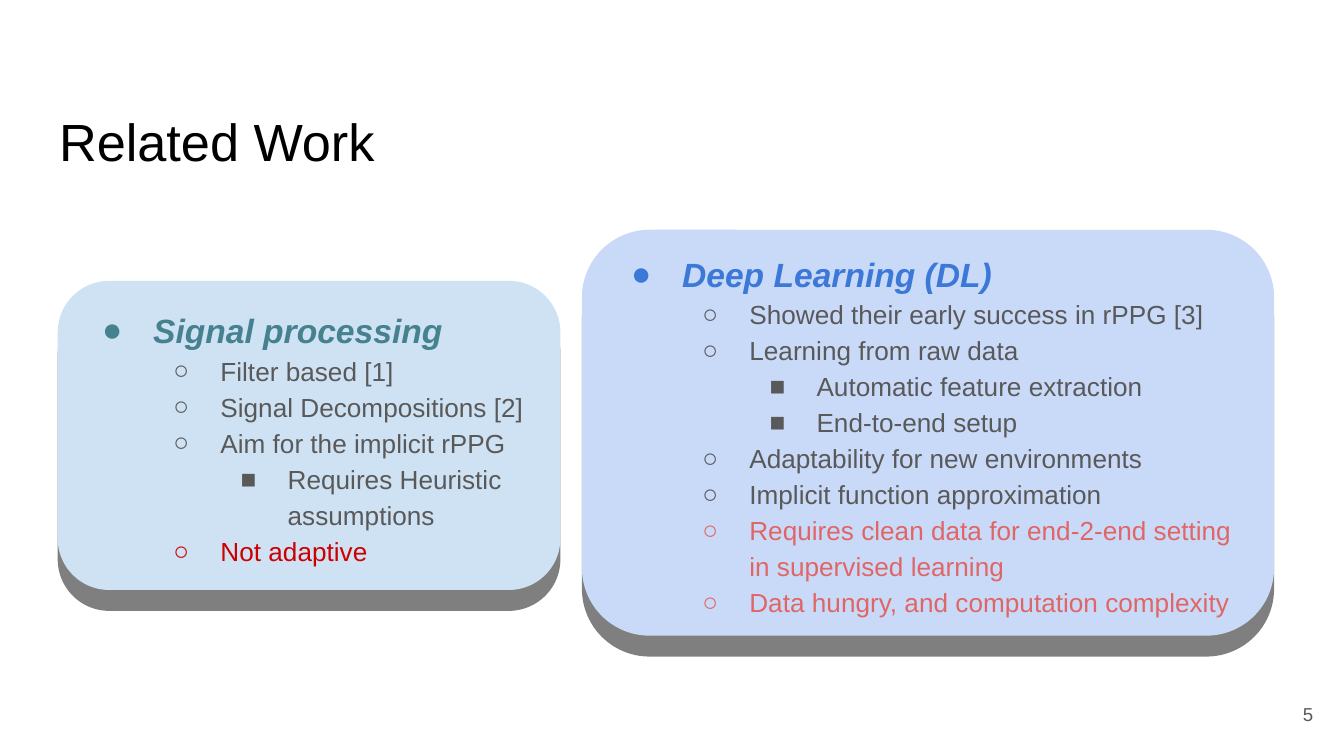
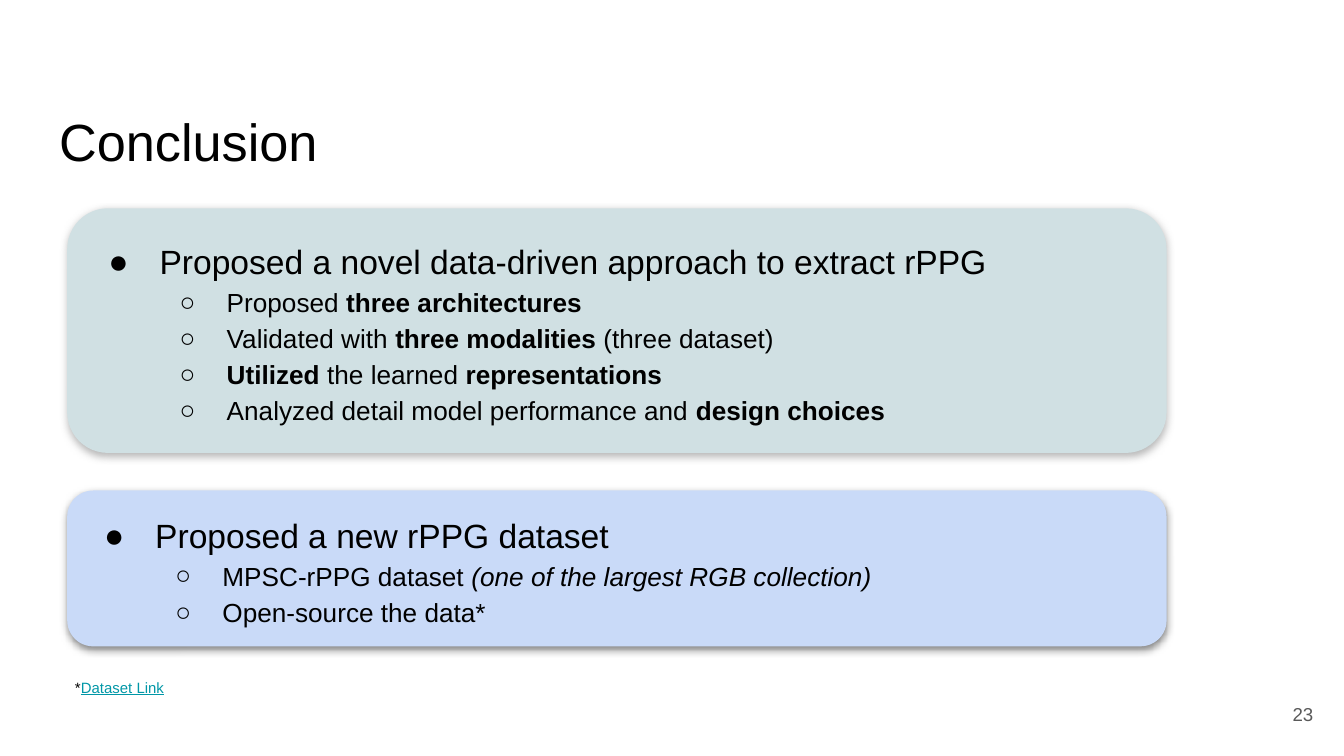
from lxml.etree import SubElement
from pptx import Presentation
from pptx.dml.color import RGBColor
from pptx.enum.shapes import MSO_SHAPE
from pptx.enum.text import MSO_ANCHOR, MSO_AUTO_SIZE, PP_ALIGN
from pptx.oxml.ns import qn
from pptx.util import Inches, Pt

FONT = "Arial"
BLACK, GRAY = "000000", "595959"
TEAL, BLUE, RED, CORAL = "45818E", "3C78D8", "CC0000", "E06666"
SKY, PERIWINKLE, MIST = "CFE2F3", "C9DAF8", "D0E0E3"
LINK = "0097A7"

# Per list level: bullet, left margin, hanging indent, text size
LEVELS = [("●", 0.5, 0.38, 18), ("○", 1, 0.35, 14), ("■", 1.5, 0.35, 14)]

# Shadows: colour, opacity in %, blur and distance in points
HARD = (BLACK, 50, 0, 11.2)
SOFT = (BLACK, 50, 4.5, 1.5)
PALE = ("9E9E9E", 73, 4.5, 1.5)

BOLD = {"bold": True}
ITALIC = {"italic": True}
HEADING = {"bold": True, "italic": True}


def rgb(color):
    return RGBColor.from_string(color)


def add_run(p, text, size, color, style=None):
    r = p.add_run()
    r.text = text
    r.font.color.rgb = rgb(color)
    values = {"name": FONT, "size": Pt(size), **(style or {})}
    for name, value in values.items():
        setattr(r.font, name, value)


def format_frame(tf, **values):
    margins = ("margin_left", "margin_top", "margin_right", "margin_bottom")
    values = {**dict.fromkeys(margins, Inches(0.1)), "word_wrap": True,
              "auto_size": MSO_AUTO_SIZE.NONE, **values}
    for name, value in values.items():
        setattr(tf, name, value)


def place(sp, left, top, width, height):
    sp.left, sp.top = Inches(left), Inches(top)
    sp.width, sp.height = Inches(width), Inches(height)


def add_text(slide, box, runs, size, align=PP_ALIGN.LEFT, **frame):
    sp = slide.shapes.add_textbox(*map(Inches, box))
    format_frame(sp.text_frame, **frame)
    p = sp.text_frame.paragraphs[0]
    p.alignment = align
    for text, color, style in runs:
        add_run(p, text, size, color, style)


def add_shadow(sp, color, opacity, blur, distance):
    """Cast a shadow straight down."""
    sp.shadow.inherit = False
    effects = sp._element.spPr.find(qn("a:effectLst"))
    shadow = SubElement(effects, qn("a:outerShdw"), blurRad=str(Pt(blur)),
                        dist=str(Pt(distance)), dir="5400000",
                        algn="bl", rotWithShape="0")
    clr = SubElement(shadow, qn("a:srgbClr"), val=color)
    SubElement(clr, qn("a:alpha"), val=str(opacity * 1000))


def add_bullet(p, char, margin, hanging, color):
    pPr = p._p.get_or_add_pPr()
    pPr.set("marL", str(Inches(margin)))
    pPr.set("indent", str(-Inches(hanging)))
    SubElement(SubElement(pPr, qn("a:buClr")), qn("a:srgbClr"), val=color)
    SubElement(pPr, qn("a:buFont"), typeface=FONT)
    SubElement(pPr, qn("a:buChar"), char=char)


def add_card(slide, box, fill, shadow, items):
    """Draw a rounded card; each item is (level, colour, run, ...)."""
    sp = slide.shapes.add_shape(MSO_SHAPE.ROUNDED_RECTANGLE, *map(Inches, box))
    sp.fill.solid()
    sp.fill.fore_color.rgb = rgb(fill)
    sp.line.fill.background()
    add_shadow(sp, *shadow)
    tf = sp.text_frame
    format_frame(tf, vertical_anchor=MSO_ANCHOR.MIDDLE)
    for i, (level, color, *runs) in enumerate(items):
        p = tf.add_paragraph() if i else tf.paragraphs[0]
        char, margin, hanging, size = LEVELS[level]
        add_bullet(p, char, margin, hanging, color)
        p.level = level
        p.alignment = PP_ALIGN.LEFT
        p.line_spacing = 1.15
        for run in runs:
            text, style = (run, None) if isinstance(run, str) else run
            add_run(p, text, size, color, style)


def add_slide(prs, title, number):
    slide = prs.slides.add_slide(prs.slide_layouts[5])
    sp = slide.shapes.title
    place(sp, 0.34, 0.71, 9.32, 0.63)
    format_frame(sp.text_frame, vertical_anchor=MSO_ANCHOR.TOP)
    p = sp.text_frame.paragraphs[0]
    p.alignment = PP_ALIGN.LEFT
    add_run(p, title, 28, BLACK)
    add_text(slide, (9.27, 5.1, 0.6, 0.43), [(str(number), GRAY, None)], 10,
             PP_ALIGN.RIGHT, vertical_anchor=MSO_ANCHOR.MIDDLE)
    return slide


def add_related_work(prs):
    slide = add_slide(prs, "Related Work", 5)
    add_card(slide, (0.43, 2.09, 3.74, 2.3), SKY, HARD, [
        (0, TEAL, ("Signal processing", HEADING)),
        (1, GRAY, "Filter based [1]"),
        (1, GRAY, "Signal Decompositions [2]"),
        (1, GRAY, "Aim for the implicit rPPG"),
        (2, GRAY, "Requires Heuristic assumptions"),
        (1, RED, "Not adaptive"),
    ])
    add_card(slide, (4.33, 1.71, 5.15, 3.02), PERIWINKLE, HARD, [
        (0, BLUE, ("Deep Learning (DL)", HEADING)),
        (1, GRAY, "Showed their early success in rPPG [3]"),
        (1, GRAY, "Learning from raw data"),
        (2, GRAY, "Automatic feature extraction"),
        (2, GRAY, "End-to-end setup"),
        (1, GRAY, "Adaptability for new environments"),
        (1, GRAY, "Implicit function approximation"),
        (1, CORAL, "Requires clean data for end-2-end setting in supervised learning"),
        (1, CORAL, "Data hungry, and computation complexity"),
    ])


def add_conclusion(prs):
    slide = add_slide(prs, "Conclusion", 23)
    add_text(slide, (0.46, 4.98, 2.06, 0.34),
             [("*", BLACK, None), ("Dataset Link", LINK, {"underline": True})],
             8, auto_size=MSO_AUTO_SIZE.SHAPE_TO_FIT_TEXT)
    add_card(slide, (0.5, 1.55, 8.18, 1.82), MIST, PALE, [
        (0, BLACK, "Proposed a novel data-driven approach to extract rPPG"),
        (1, BLACK, "Proposed ", ("three architectures", BOLD)),
        (1, BLACK, "Validated with ", ("three modalities", BOLD), " (three dataset)"),
        (1, BLACK, ("Utilized", BOLD), " the learned ", ("representations", BOLD)),
        (1, BLACK, "Analyzed detail model performance and ", ("design choices", BOLD)),
    ])
    add_card(slide, (0.5, 3.65, 8.18, 1.16), PERIWINKLE, SOFT, [
        (0, BLACK, "Proposed a new rPPG dataset"),
        (1, BLACK, "MPSC-rPPG dataset", (" (one of the largest RGB collection)", ITALIC)),
        (1, BLACK, "Open-source the data*"),
    ])


def main():
    prs = Presentation()
    prs.slide_width, prs.slide_height = Inches(10), Inches(10 * 9 / 16)
    add_related_work(prs)
    add_conclusion(prs)
    prs.save("out.pptx")


if __name__ == "__main__":
    main()
